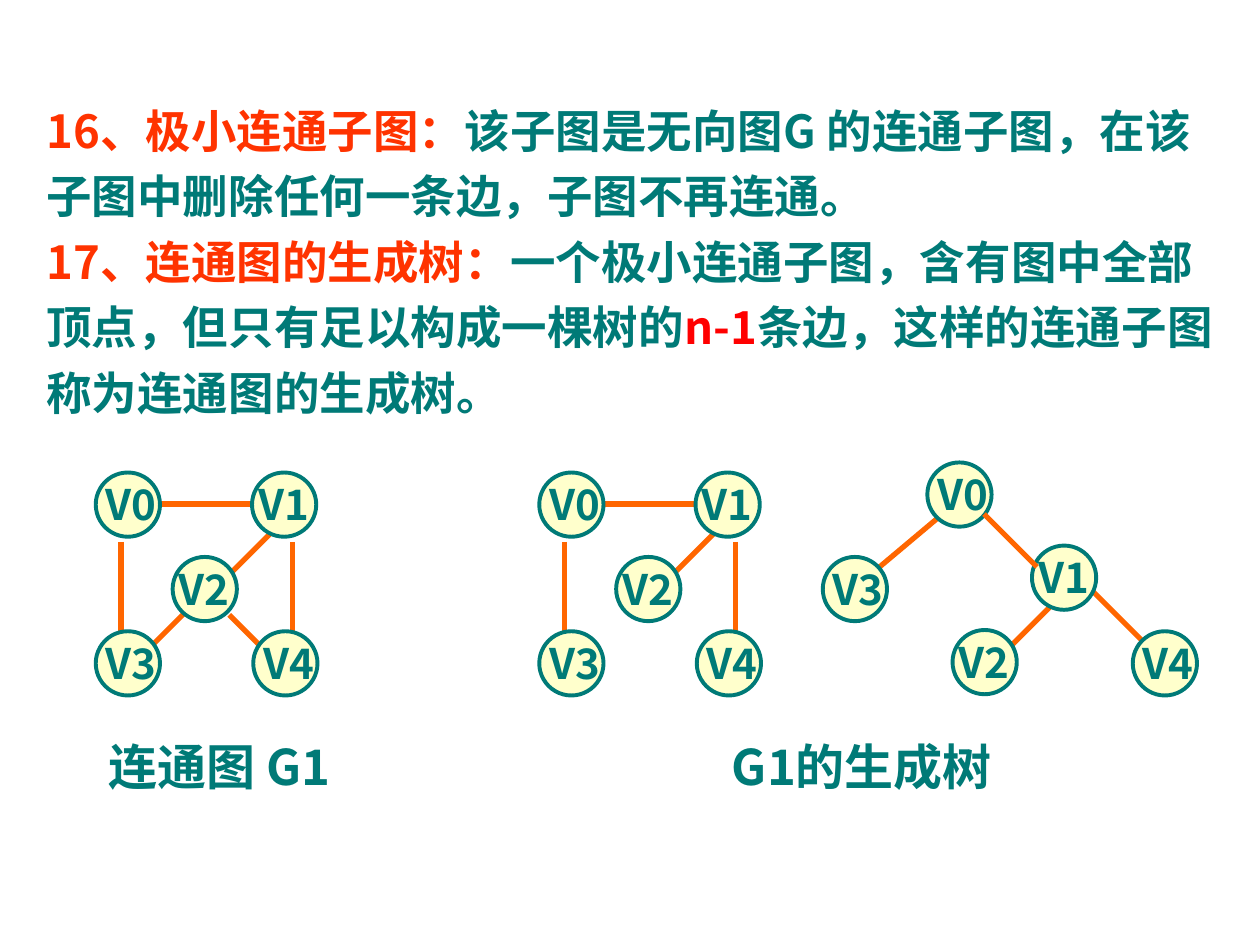
from dataclasses import dataclass

from lxml import etree
from pptx import Presentation, util as u
from pptx.dml.color import RGBColor
from pptx.enum import shapes, text
from pptx.oxml.ns import qn

PX = 9144  # EMU per px, 100 px to the inch
FONT = "Noto Sans CJK SC"
TEAL = RGBColor(0x00, 0x7A, 0x77)
ORANGE = RGBColor(0xFF, 0x33, 0x00)
RED = RGBColor(0xFF, 0x00, 0x00)
EDGE = RGBColor(0xFF, 0x66, 0x00)
CREAM = RGBColor(0xFF, 0xFF, 0xCC)
WHITE = RGBColor(0xFF, 0xFF, 0xFF)
SIZE = 51  # node diameter


@dataclass
class Node:
    name: str
    x: int
    y: int


@dataclass
class Edge:
    x1: int
    y1: int
    x2: int
    y2: int
    front: bool = False


def px(*vals: int) -> list[int]:
    return [v * PX for v in vals]


def write(parent, box: tuple, lines: list, size: int, align=None,
          space: float = 1.0, left: int = 10):
    """Add a text box; each line is a list of (words, colour) runs."""
    shape = parent.add_textbox(*px(*box))
    frame = shape.text_frame
    frame.word_wrap = True
    frame.margin_left = left * PX
    para = frame.paragraphs[0]
    para.alignment = align
    para.line_spacing = space
    for i, line in enumerate(lines):
        if i:
            para.add_line_break()
        for words, color in line:
            run = para.add_run()
            run.text = words
            font = run.font
            font.size, font.bold, font.name = u.Pt(size), True, FONT
            font.color.rgb = color
            east = etree.SubElement(font._element, qn("a:ea"))
            east.set("typeface", FONT)


def link(parent, edge: Edge, dx: int):
    line = parent.add_connector(
        shapes.MSO_CONNECTOR.STRAIGHT,
        *px(edge.x1 + dx, edge.y1, edge.x2 + dx, edge.y2))
    line.line.color.rgb = EDGE
    line.line.width = u.Pt(3)
    etree.SubElement(line._element.spPr, qn("a:effectLst"))


def dot(parent, node: Node, dx: int):
    x = node.x + dx
    disc = parent.add_shape(shapes.MSO_SHAPE.OVAL,
                            *px(x, node.y, SIZE, SIZE))
    disc.shadow.inherit = False
    disc.fill.solid()
    disc.fill.fore_color.rgb = CREAM
    disc.line.color.rgb = TEAL
    disc.line.width = u.Pt(2.25)
    shift = 8 if node.name in ("V1", "V2") else 5
    write(parent, (x - shift, node.y, 71, 50), [[(node.name, TEAL)]], 24,
          left=13)


def graph(parent, nodes: list[Node], edges: list[Edge], dx: int = 0):
    group = parent.add_group_shape().shapes
    for edge in edges:
        if not edge.front:
            link(group, edge, dx)
    for node in nodes:
        dot(group, node, dx)
    for edge in edges:
        if edge.front:
            link(group, edge, dx)


# Graph G1; its first spanning tree keeps four of the edges
NODES = [Node("V0", 76, 375), Node("V4", 201, 501), Node("V3", 76, 501),
         Node("V1", 200, 375), Node("V2", 137, 442)]
KEPT = [Edge(96, 430, 96, 502), Edge(125, 400, 208, 400),
        Edge(232, 430, 232, 502), Edge(214, 424, 184, 454)]
CUT = [Edge(149, 484, 119, 514), Edge(182, 488, 208, 514)]

# Second spanning tree, rooted at V0
TREE = [Node("V0", 736, 367), Node("V4", 899, 501), Node("V3", 653, 442),
        Node("V1", 819, 433), Node("V2", 756, 500)]
LIMBS = [Edge(748, 408, 698, 450), Edge(865, 467, 906, 508),
         Edge(833, 482, 803, 512), Edge(781, 408, 823, 450, front=True)]

BODY = [
    [("16、极小连通子图：", ORANGE),
     ("该子图是无向图G 的连通子图，在该子图中删除任何一条边，子图不再连通。", TEAL)],
    [("17、连通图的生成树：", ORANGE),
     ("一个极小连通子图，含有图中全部顶点，但只有足以构成一棵树的", TEAL),
     ("n-1", RED),
     ("条边，这样的连通子图称为连通图的生成树。", TEAL)],
]


def main():
    deck = Presentation()
    deck.slide_width, deck.slide_height = px(1000, 750)
    slide = deck.slides.add_slide(deck.slide_layouts[6])
    slide.background.fill.solid()
    slide.background.fill.fore_color.rgb = WHITE
    parts = slide.shapes

    # Definitions and captions
    write(parts, (27, 68, 961, 270), BODY, 26, space=1.2)
    for x, words in ((51, "连通图 G1"), (561, "G1的生成树")):
        write(parts, (x, 580, 246, 57), [[(words, TEAL)]], 28,
              align=text.PP_ALIGN.CENTER)

    # Graphs
    graph(parts, NODES, KEPT, dx=352)
    graph(parts, NODES, KEPT + CUT)
    graph(parts, TREE, LIMBS)
    deck.save("out.pptx")


if __name__ == "__main__":
    main()
